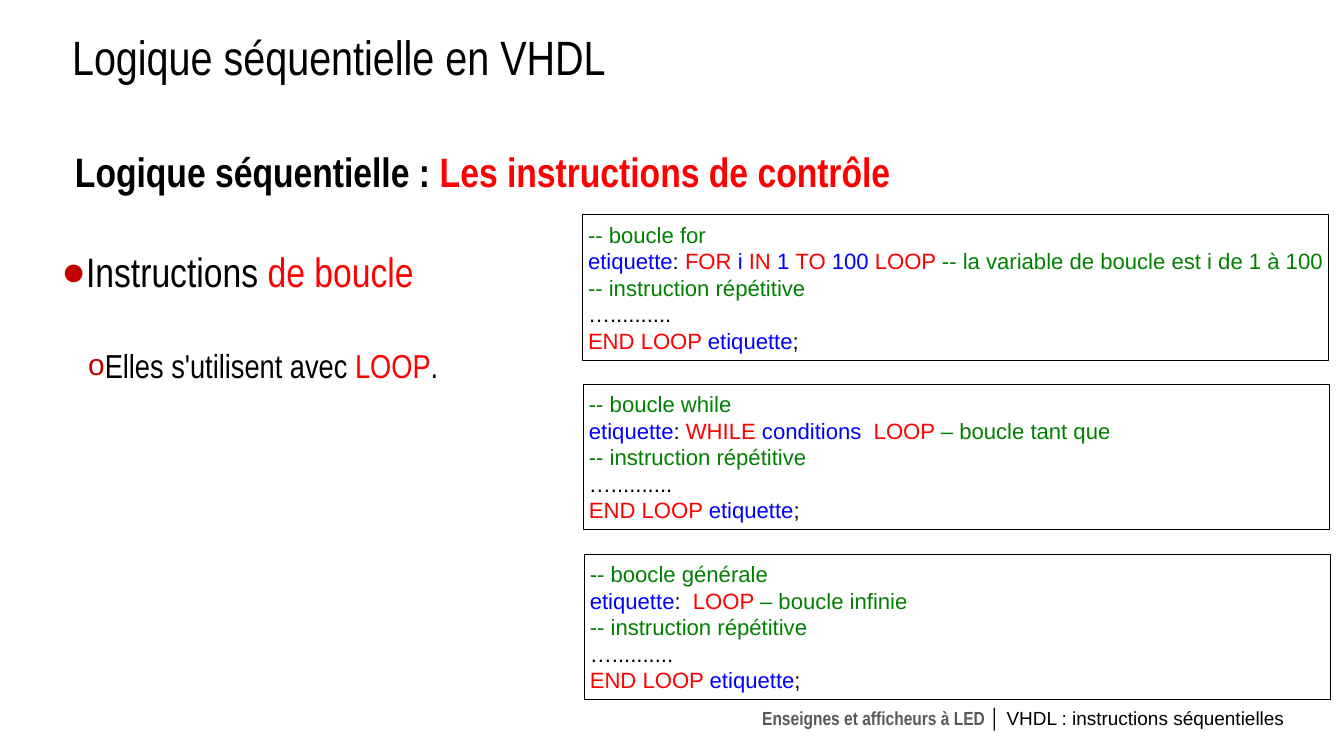
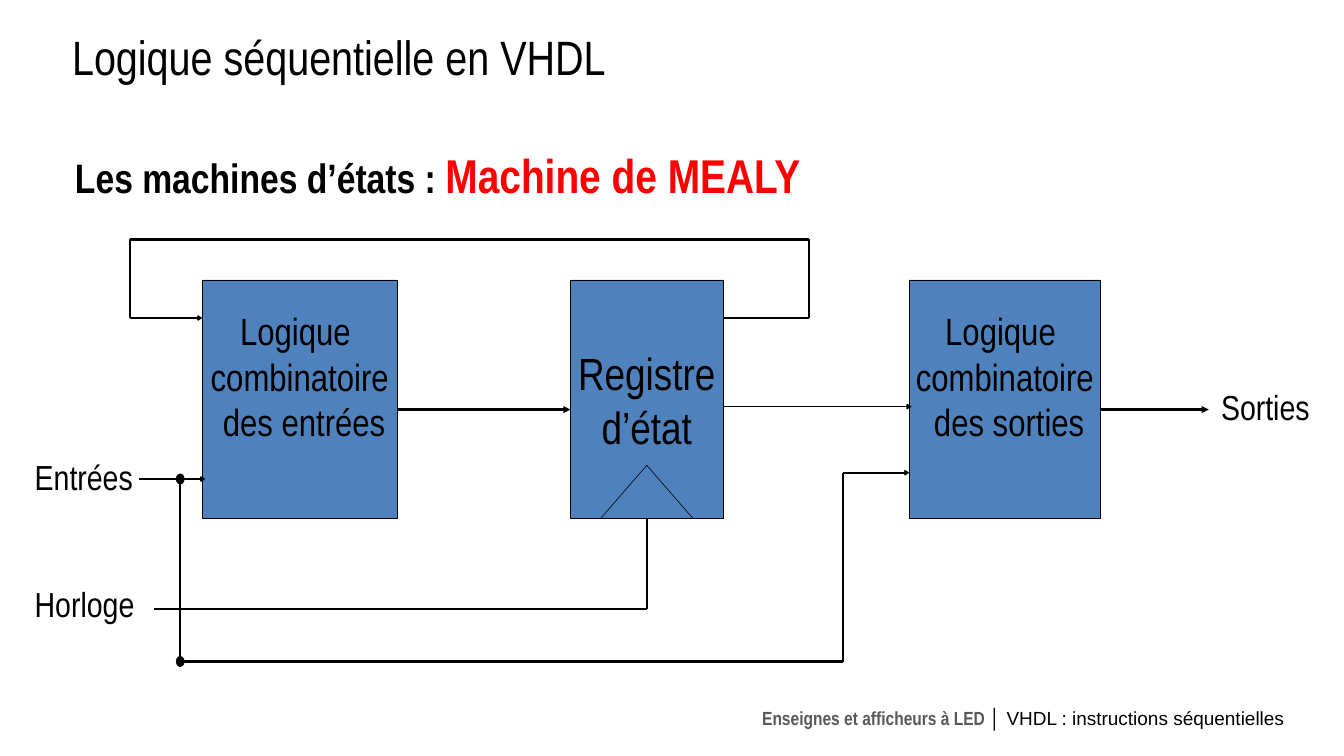
import dataclasses
import itertools

import lxml.etree
import pptx
import pptx.dml.color
import pptx.enum.shapes
import pptx.enum.text
import pptx.oxml.ns
import pptx.util

Cm = pptx.util.Cm
Pt = pptx.util.Pt
Align = pptx.enum.text.PP_ALIGN
Anchor = pptx.enum.text.MSO_ANCHOR
Preset = pptx.enum.shapes.MSO_SHAPE


@dataclasses.dataclass(frozen=True)
class Theme:
    black: str = "000000"
    red: str = "FF0000"
    blue: str = "0000FF"
    green: str = "008000"
    gray: str = "595959"
    bullet: str = "C30000"
    block: str = "4F81BD"
    narrow: str = "Arial Narrow"
    plain: str = "Arial"
    title_size: int = 61
    heading_size: int = 52
    emphasis_size: int = 60
    detail_size: int = 42
    code_size: int = 28
    footer_size: int = 24
    block_size: int = 48
    register_size: int = 57
    label_size: int = 44
    thin: float = 0.75
    medium: float = 2
    thick: float = 3


THEME = Theme()


def color(value):
    return pptx.dml.color.RGBColor.from_string(value)


def add_element(parent, tag, **attributes):
    element = lxml.etree.SubElement(parent, pptx.oxml.ns.qn(tag))
    for name, value in attributes.items():
        element.set(name, str(value))
    return element


def set_font(font, name=None, size=None, bold=None, tint=None):
    if name:
        font.name = name
    if size:
        font.size = Pt(size)
    if bold is not None:
        font.bold = bold
    if tint:
        font.color.rgb = color(tint)


def write_runs(paragraph, pieces):
    for text, style in pieces:
        run = paragraph.add_run()
        run.text = text
        set_font(run.font, **style)


def tinted(*pieces):
    return [(text, {"tint": tint}) for text, tint in pieces]


def set_indent(paragraph, left, first=0):
    properties = paragraph._p.get_or_add_pPr()
    properties.set("marL", str(Cm(left)))
    properties.set("indent", str(Cm(first)))
    return properties


def set_bullet(paragraph, left, character, percent):
    properties = set_indent(paragraph, left, -0.64)
    add_element(add_element(properties, "a:buClr"), "a:srgbClr", val=THEME.bullet)
    add_element(properties, "a:buSzPct", val=percent * 1000)
    add_element(properties, "a:buFont", typeface=THEME.plain)
    add_element(properties, "a:buChar", char=character)


def set_margins(frame, horizontal, vertical):
    frame.margin_left = frame.margin_right = Cm(horizontal)
    frame.margin_top = frame.margin_bottom = Cm(vertical)


def add_text(slide, box, horizontal=0.6, vertical=0.3):
    frame = slide.shapes.add_textbox(*map(Cm, box)).text_frame
    frame.word_wrap = True
    set_margins(frame, horizontal, vertical)
    return frame


def outline(shape, fill=None):
    shape.shadow.inherit = False
    if fill:
        shape.fill.solid()
        shape.fill.fore_color.rgb = color(fill)
    else:
        shape.fill.background()
    shape.line.color.rgb = color(THEME.black)
    shape.line.width = Pt(THEME.thin)


def add_outlined(slide, preset, box, fill=None):
    shape = slide.shapes.add_shape(preset, *map(Cm, box))
    outline(shape, fill)
    return shape


def add_lines(frame, lines, align, name, size):
    for index, pieces in enumerate(lines):
        paragraph = frame.paragraphs[0] if index == 0 else frame.add_paragraph()
        paragraph.alignment = align
        set_font(paragraph.font, name, size)
        write_runs(paragraph, pieces)


def add_wire(slide, points, weight, head=None):
    segments = list(itertools.pairwise(points))
    for index, (start, end) in enumerate(segments):
        line = slide.shapes.add_connector(
            pptx.enum.shapes.MSO_CONNECTOR.STRAIGHT, *map(Cm, start + end))
        line.line.color.rgb = color(THEME.black)
        line.line.width = Pt(weight)
        add_element(line._element.spPr, "a:effectLst")
        if head and index == len(segments) - 1:
            add_element(line.line._get_or_add_ln(), "a:tailEnd", type=head)


def add_title(slide, box):
    paragraph = add_text(slide, box).paragraphs[0]
    set_font(paragraph.font, THEME.narrow, THEME.title_size)
    write_runs(paragraph, tinted(("Logique séquentielle en VHDL", THEME.black)))


def add_footer(slide, box):
    paragraph = add_text(slide, box).paragraphs[0]
    paragraph.alignment = Align.RIGHT
    set_font(paragraph.font, size=THEME.footer_size)
    write_runs(paragraph, [
        ("Enseignes et afficheurs à LED ",
         {"name": THEME.narrow, "bold": True, "tint": THEME.gray}),
        ("│ ", {"name": THEME.plain, "bold": True, "tint": THEME.black}),
        ("VHDL : instructions séquentielles",
         {"name": THEME.plain, "tint": THEME.black}),
    ])


def add_heading(slide, box, topic, subject, subject_size):
    frame = add_text(slide, box, 0, 0)
    paragraph = frame.paragraphs[0]
    set_indent(paragraph, 1.42)
    set_font(paragraph.font, THEME.narrow, bold=True)
    write_runs(paragraph, [
        (topic, {"size": THEME.heading_size, "tint": THEME.black}),
        (subject, {"size": subject_size, "tint": THEME.red}),
    ])
    return frame


def add_points(frame):
    points = [
        (1.45, "●", 100, THEME.heading_size, 64.5,
         tinted(("Instructions ", THEME.black), ("de boucle", THEME.red))),
        (2.65, "o", 90, THEME.detail_size, 62.5,
         tinted(("Elles s'utilisent avec ", THEME.black), ("LOOP", THEME.red),
                (".", THEME.black))),
    ]
    for left, character, percent, size, gap, pieces in points:
        paragraph = frame.add_paragraph()
        paragraph.space_before = Pt(gap)
        set_bullet(paragraph, left, character, percent)
        set_font(paragraph.font, THEME.narrow, size, False)
        write_runs(paragraph, pieces)


def add_code(slide, box, comment, statement):
    shape = add_outlined(slide, Preset.RECTANGLE, box)
    frame = shape.text_frame
    frame.word_wrap = False
    frame.vertical_anchor = Anchor.MIDDLE
    lines = [
        [(comment, THEME.green)],
        [("etiquette", THEME.blue), *statement],
        [("-- instruction répétitive", THEME.green)],
        [("…..........", THEME.black)],
        [("END LOOP ", THEME.red), ("etiquette", THEME.blue), (";", THEME.black)],
    ]
    add_lines(frame, [tinted(*line) for line in lines],
              Align.LEFT, THEME.plain, THEME.code_size)


def add_code_column(slide, left, top, width, height, pitch):
    black, red, blue, green = THEME.black, THEME.red, THEME.blue, THEME.green
    loops = [
        ("-- boucle for",
         [(": ", black), ("FOR", red), (" i ", blue), ("IN", red), (" 1 ", blue),
          ("TO", red), (" 100 ", blue), ("LOOP ", red),
          ("-- la variable de boucle est i de 1 à 100", green)]),
        ("-- boucle while",
         [(": ", black), ("WHILE", red), (" conditions  ", blue), ("LOOP ", red),
          ("– boucle tant que", green)]),
        ("-- boocle générale",
         [(":  ", black), ("LOOP ", red), ("– boucle infinie", green)]),
    ]
    for index, (comment, statement) in enumerate(loops):
        box = (left + 0.04 * index, top + pitch * index, width, height)
        add_code(slide, box, comment, statement)


def add_block(slide, box, lines, size, lift=0):
    shape = add_outlined(slide, Preset.RECTANGLE, box, THEME.block)
    frame = shape.text_frame
    frame.word_wrap = False
    frame.vertical_anchor = Anchor.MIDDLE
    set_margins(frame, 0.25, 0.13)
    frame.margin_bottom = Cm(0.13 + lift)
    add_lines(frame, [tinted((line, THEME.black)) for line in lines],
              Align.CENTER, THEME.narrow, size)


def add_clock_mark(slide, center, bottom):
    builder = slide.shapes.build_freeform(Cm(center - 2.05), Cm(bottom))
    builder.add_line_segments(
        [(Cm(center), Cm(bottom - 2.36)), (Cm(center + 2.05), Cm(bottom))], close=False)
    outline(builder.convert_to_shape())


def add_mealy_diagram(slide, left, top):
    def place(x, y):
        return left + x, top + y

    block_top, block_height = 1.81, 10.64
    block_bottom = block_top + block_height
    blocks = [
        (7.74, 8.69, ["Logique ", "combinatoire", " des entrées"], THEME.block_size, 2.03),
        (39.31, 8.53, ["Logique ", "combinatoire", " des sorties"], THEME.block_size, 2.03),
        (24.18, 6.81, ["Registre", "d’état"], THEME.register_size, 0),
    ]
    for x, width, lines, size, lift in blocks:
        box = (*place(x, block_top), width, block_height)
        add_block(slide, box, lines, size, lift)
    (inputs, inputs_width), (outputs, outputs_width), (state, state_width) = [
        block[:2] for block in blocks]
    clock = state + state_width / 2
    add_clock_mark(slide, *place(clock, block_bottom))

    junction, branch, bottom = 6.75, 36.34, 18.85
    wires = [
        ([(inputs + inputs_width, 7.6), (state, 7.6)], THEME.thick, "triangle"),
        ([(outputs + outputs_width, 7.6), (52.68, 7.6)], THEME.thick, "triangle"),
        ([(state + state_width, 3.51), (34.82, 3.51), (34.82, 0), (4.52, 0),
          (4.52, 3.51)], THEME.thick, None),
        ([(4.52, 3.51), (inputs, 3.51)], THEME.medium, "arrow"),
        ([(4.9, 10.7), (inputs + 0.13, 10.7)], THEME.medium, "arrow"),
        ([(state + state_width, 7.47), (outputs + 0.1, 7.47)], THEME.medium, "arrow"),
        ([(5.58, 16.51), (clock, 16.51), (clock, block_bottom)], THEME.thick, None),
        ([(junction, 10.7), (junction, bottom), (branch, bottom), (branch, 10.42)],
         THEME.thick, None),
        ([(branch, 10.42), (outputs, 10.42)], THEME.medium, "arrow"),
    ]
    for points, weight, head in wires:
        add_wire(slide, [place(*point) for point in points], weight, head)
    for y in (10.7, bottom):
        box = (*place(junction - 0.18, y - 0.23), 0.36, 0.46)
        add_outlined(slide, Preset.OVAL, box, THEME.black)
    for text, x, y in (("Entrées", 0, 9.53), ("Horloge", 0, 15.19), ("Sorties", 52.98, 6.4)):
        frame = add_text(slide, (*place(x, y), 5.5, 2.13), 0.25, 0.13)
        add_lines(frame, [tinted((text, THEME.black))],
                  Align.LEFT, THEME.narrow, THEME.label_size)


def add_slide(presentation, topic, subject, subject_size):
    slide = presentation.slides.add_slide(presentation.slide_layouts[6])
    add_footer(slide, (32.41, 31.27, 25.53, 1.7))
    frame = add_heading(slide, (1.93, 6.53, 55.45, 20.7), topic, subject, subject_size)
    add_title(slide, (2.62, 0.93, 50.83, 4.09))
    return slide, frame


def main():
    presentation = pptx.Presentation()
    presentation.slide_width = Cm(60.02)
    presentation.slide_height = Cm(33.76)
    slide, frame = add_slide(presentation, "Logique séquentielle : ",
                             "Les instructions de contrôle", THEME.heading_size)
    add_points(frame)
    add_code_column(slide, 26.01, 9.58, 33.3, 6.5, 7.58)
    slide, frame = add_slide(presentation, "Les machines d’états : ",
                             "Machine de MEALY", THEME.emphasis_size)
    add_mealy_diagram(slide, 1.3, 10.69)
    presentation.save("out.pptx")


if __name__ == "__main__":
    main()
